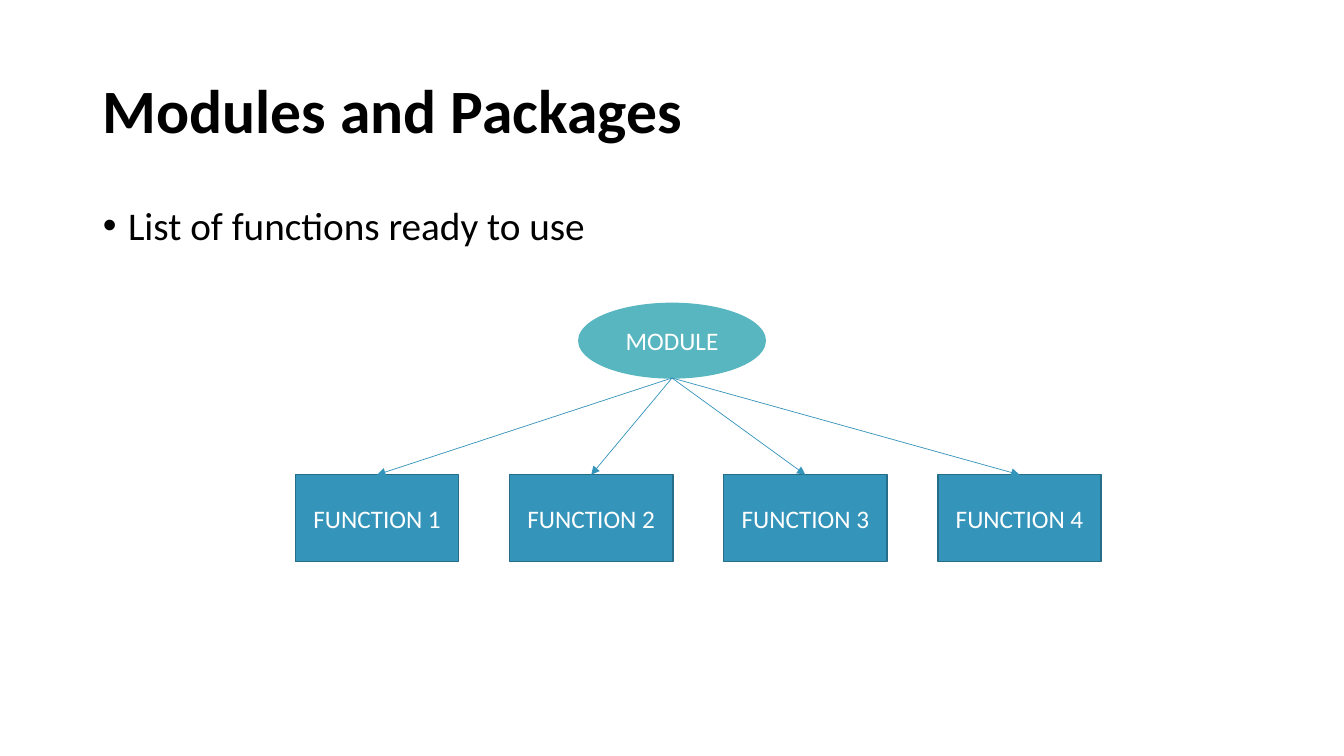
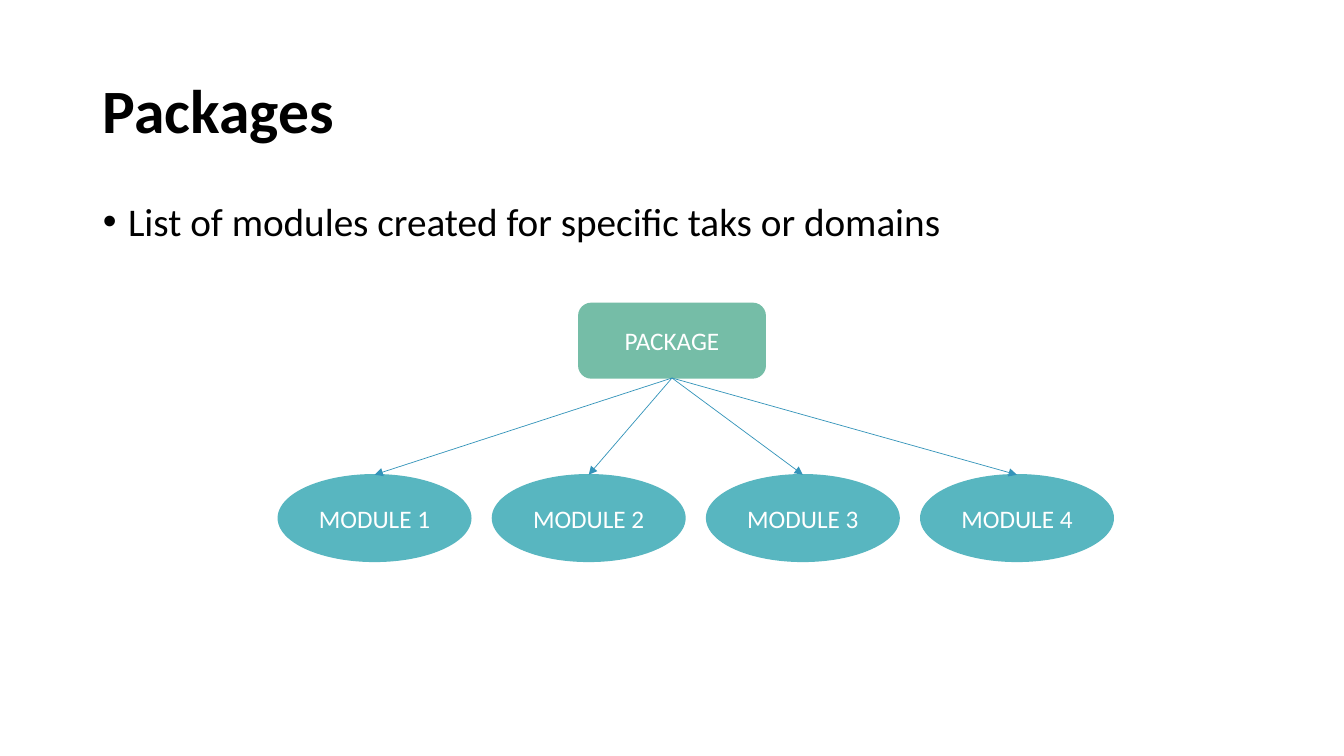
import pptx
import pptx.util
import pptx.dml.color
import pptx.enum.shapes
import pptx.enum.text
import pptx.oxml
import pptx.oxml.ns
import lxml.etree

Inches = pptx.util.Inches
Pt = pptx.util.Pt
Shape = pptx.enum.shapes.MSO_SHAPE
Align = pptx.enum.text.PP_ALIGN
Anchor = pptx.enum.text.MSO_ANCHOR
qn = pptx.oxml.ns.qn

COLORS = {
    "text": "000000",
    "label": "FFFFFF",
    "function": "3494BA",
    "function_edge": "266D8A",
    "module": "58B6C0",
    "package": "75BDA7",
    "arrow": "3494BA",
}
BOTTOM_SITE = {Shape.OVAL: 4, Shape.ROUNDED_RECTANGLE: 2}


def color(name):
    return pptx.dml.color.RGBColor.from_string(COLORS[name])


def write(frame, text, size=18, fill="label", bold=False, align=Align.CENTER,
          anchor=Anchor.MIDDLE, line_spacing=None, space_before=0):
    frame.word_wrap = True
    frame.auto_size = pptx.enum.text.MSO_AUTO_SIZE.NONE
    frame.vertical_anchor = anchor
    paragraph = frame.paragraphs[0]
    paragraph.alignment = align
    paragraph.line_spacing = line_spacing
    paragraph.space_before = Pt(space_before)
    run = paragraph.add_run()
    run.text = text
    run.font.name = "Calibri"
    run.font.size = Pt(size)
    run.font.bold = bold
    run.font.color.rgb = color(fill)
    return paragraph


class Deck:
    def __init__(self):
        self.presentation = pptx.Presentation()
        self.presentation.slide_width = Inches(13.33)
        self.presentation.slide_height = Inches(7.5)
        self.slide = None

    def place(self, part, left, top, width, height):
        part.left, part.top = Inches(left), Inches(top)
        part.width, part.height = Inches(width), Inches(height)

    def new_slide(self, heading):
        layout = self.presentation.slide_layouts[1]
        self.slide = self.presentation.slides.add_slide(layout)
        title = self.slide.shapes.title
        self.place(title, 0.92, 0.4, 11.5, 1.45)
        write(title.text_frame, heading, size=44, fill="text", bold=True,
              align=Align.LEFT, line_spacing=0.9)

    def bullet(self, text, top):
        body = self.slide.placeholders[1]
        self.place(body, 0.92, top, 11.5, 4.76)
        paragraph = write(body.text_frame, text, size=28, fill="text",
                          align=Align.LEFT, anchor=Anchor.TOP,
                          line_spacing=0.9, space_before=10)
        properties = paragraph._p.get_or_add_pPr()
        properties.set("marL", str(Inches(0.25)))
        properties.set("indent", str(-Inches(0.25)))
        lxml.etree.SubElement(properties, qn("a:buFont"), typeface="Arial")
        lxml.etree.SubElement(properties, qn("a:buChar"), char="\u2022")

    def node(self, kind, text, left, top, width, height, fill, edge):
        node = self.slide.shapes.add_shape(
            kind, Inches(left), Inches(top), Inches(width), Inches(height))
        node.shadow.inherit = False
        node.fill.solid()
        node.fill.fore_color.rgb = color(fill)
        node.line.color.rgb = color(edge)
        node.line.width = Pt(1)
        write(node.text_frame, text)
        return node

    def arrow(self, parent, child):
        arrow = self.slide.shapes.add_connector(
            pptx.enum.shapes.MSO_CONNECTOR.STRAIGHT, 0, 0, 0, 0)
        arrow.begin_connect(parent, 2)
        arrow.end_connect(child, 0)
        start = arrow.element.find(".//" + qn("a:stCxn"))
        start.set("idx", str(BOTTOM_SITE[parent.auto_shape_type]))
        arrow.line.color.rgb = color("arrow")
        arrow.line.width = Pt(0.5)
        lxml.etree.SubElement(arrow.line._get_or_add_ln(), qn("a:tailEnd"),
                              type="triangle")
        lxml.etree.SubElement(arrow.element.spPr, qn("a:effectLst"))

    def tree(self, root, root_kind, root_fill, child, child_kind, child_fill,
             child_edge, left, width):
        parent = self.node(root_kind, root, 5.74, 3.01, 1.85, 0.74,
                           root_fill, root_fill)
        pitch = 2.124
        for index in range(4):
            leaf = self.node(child_kind, f"{child} {index + 1}",
                             left + index * pitch, 4.71, width, 0.86,
                             child_fill, child_edge)
            self.arrow(parent, leaf)


deck = Deck()

deck.new_slide("Modules and Packages")
deck.bullet("List of functions ready to use", top=2)
deck.tree("MODULE", Shape.OVAL, "module",
          "FUNCTION", Shape.RECTANGLE, "function", "function_edge",
          left=2.93, width=1.62)

deck.new_slide("Packages")
deck.bullet("List of modules created for specific taks or domains", top=1.96)
deck.tree("PACKAGE", Shape.ROUNDED_RECTANGLE, "package",
          "MODULE", Shape.OVAL, "module", "module",
          left=2.76, width=1.91)

deck.presentation.save("out.pptx")
